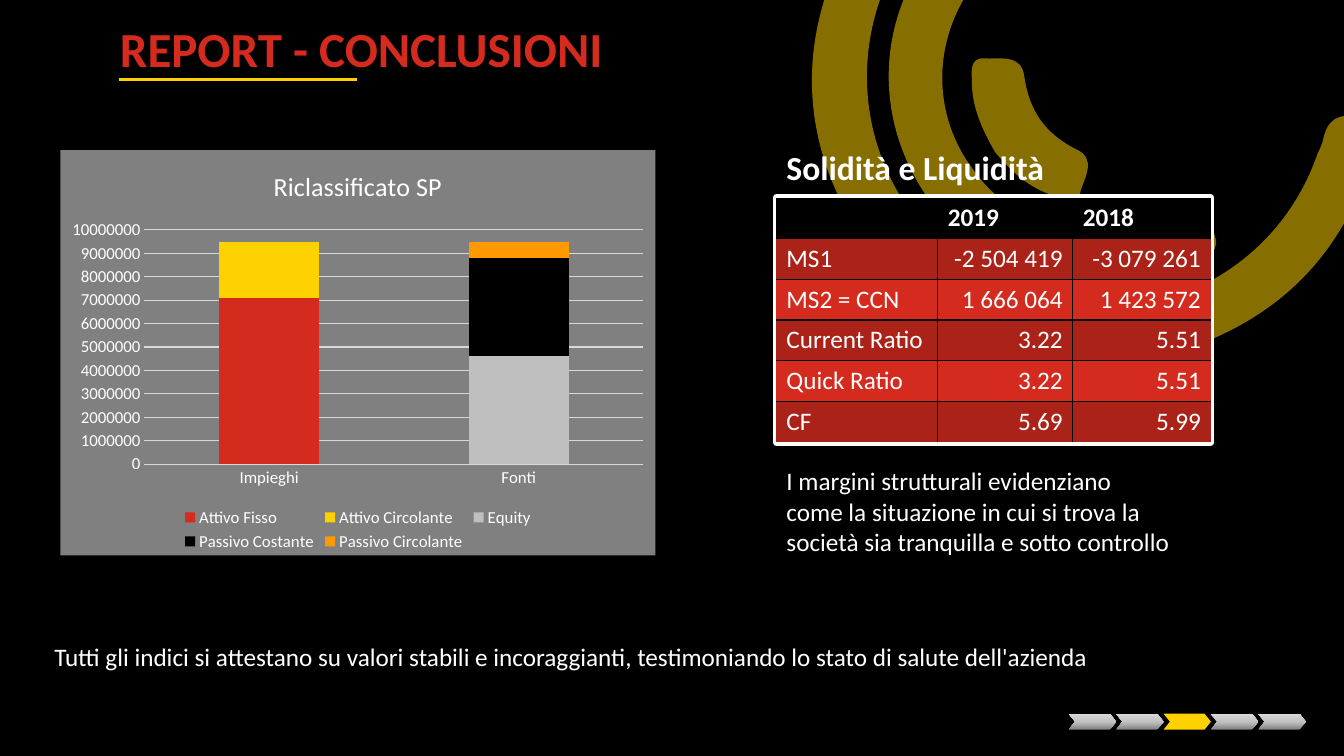
import copy
import pptx
import pptx.util
import pptx.oxml
import pptx.oxml.ns
import pptx.chart.data
import pptx.dml.color
import pptx.enum.chart
import pptx.enum.shapes
import pptx.enum.text
from lxml import etree

Inches, Pt, qn = pptx.util.Inches, pptx.util.Pt, pptx.oxml.ns.qn
SHAPE = pptx.enum.shapes.MSO_SHAPE
ALIGN = pptx.enum.text.PP_ALIGN
ANCHOR = pptx.enum.text.MSO_ANCHOR

# Content
FONT = "Calibri"
COLORS = {"black": "000000", "white": "FFFFFF", "red": "D52B1E", "dark red": "AB2218",
          "yellow": "FED100", "orange": "FF9900", "gray": "808080", "silver": "BFBFBF",
          "grid": "D9D9D9", "steel": "C1C1C1"}
TITLE = "REPORT - CONCLUSIONI"
HEADING = "Solidità e Liquidità"
REMARK = ["I margini strutturali evidenziano",
          "come la situazione in cui si trova la",
          "società sia tranquilla e sotto controllo"]
CONCLUSION = ("Tutti gli indici si attestano su valori stabili e incoraggianti, "
              "testimoniando lo stato di salute dell'azienda")
RATIOS = [("", "2019", "2018"),
          ("MS1", "-2 504 419", "-3 079 261"),
          ("MS2 = CCN", "1 666 064", "1 423 572"),
          ("Current Ratio", "3.22", "5.51"),
          ("Quick Ratio", "3.22", "5.51"),
          ("CF", "5.69", "5.99")]
RATIO_WIDTHS = (1.6, 1.34, 1.37)
CHART_TITLE = "Riclassificato SP"
CATEGORIES = ["Impieghi", "Fonti"]
SERIES = [("Attivo Fisso", (7100000, None), "red"),
          ("Attivo Circolante", (2400000, None), "yellow"),
          ("Equity", (None, 4600000), "silver"),
          ("Passivo Costante", (None, 4200000), "black"),
          ("Passivo Circolante", (None, 700000), "orange")]
STEPS, CURRENT_STEP = 5, 2
# Each arc: start point, then Bezier curves (two controls and an end)
ARCS = [
    ((8.51, 2.29), [
        (7.99, 1.49, 7.87, 0.5, 8.38, -0.5), (8.9, -1.52, 9.76, -2.03, 10.9, -2.07),
        (11.05, -2.07, 11.21, -2.1, 11.31, -1.95), (11.44, -1.75, 11.27, -1.54, 10.98, -1.54),
        (9.67, -1.54, 8.65, -0.59, 8.6, 0.68), (8.56, 1.81, 9.36, 2.81, 10.46, 3.02),
        (11.6, 3.24, 12.7, 2.61, 13.07, 1.52), (13.09, 1.48, 13.11, 1.44, 13.12, 1.4),
        (13.16, 1.19, 13.27, 1.11, 13.49, 1.17), (13.73, 1.24, 13.67, 1.41, 13.61, 1.56),
        (13.34, 2.45, 12.78, 3.07, 11.91, 3.41), (10.7, 3.87, 9.36, 3.45, 8.51, 2.29)]),
    ((9.22, 1.99), [
        (8.62, 1.15, 8.69, 0.07, 9.4, -0.68), (9.51, -0.79, 9.62, -0.95, 9.8, -0.78),
        (9.95, -0.64, 9.97, -0.5, 9.79, -0.32), (9.25, 0.26, 9.2, 1.08, 9.65, 1.68),
        (10.08, 2.29, 10.88, 2.49, 11.61, 2.15), (11.82, 2.05, 11.93, 2.12, 12.03, 2.29),
        (12.13, 2.5, 11.97, 2.56, 11.83, 2.63), (10.96, 3.1, 9.83, 2.82, 9.22, 1.99)]),
    ((9.87, 1.51), [
        (9.75, 1.3, 9.64, 1.07, 9.64, 0.82), (9.64, 0.73, 9.61, 0.57, 9.76, 0.58),
        (9.92, 0.59, 10.13, 0.53, 10.16, 0.76), (10.21, 1.1, 10.36, 1.32, 10.67, 1.48),
        (10.88, 1.57, 10.76, 1.76, 10.72, 1.89), (10.68, 2.06, 10.55, 1.98, 10.45, 1.94),
        (10.21, 1.87, 10.03, 1.7, 9.87, 1.51)]),
]


# Helpers
def rgb(name):
    return pptx.dml.color.RGBColor.from_string(COLORS[name])


def paint(fill, name):
    fill.solid()
    fill.fore_color.rgb = rgb(name)


def style(font, size, color="white", bold=False):
    font.name, font.size, font.bold = FONT, Pt(size), bold
    font.color.rgb = rgb(color)


def place(box, left, top, width, height):
    box.left, box.top, box.width, box.height = map(Inches, (left, top, width, height))


def write(frame, lines, size, color="white", bold=False, align=ALIGN.LEFT, spacing=1.0):
    frame.word_wrap = True
    for number, line in enumerate(lines):
        para = frame.add_paragraph() if number else frame.paragraphs[0]
        para.alignment, para.line_spacing = align, spacing
        para.space_before = Pt(0)
        span = para.add_run()
        span.text = line
        style(span.font, size, color, bold)


def add_arc(shapes, start, curves):
    points = [(curve[i], curve[i + 1]) for curve in curves for i in (0, 2, 4)]
    builder = shapes.build_freeform(*start, scale=Inches(1) / 1000)
    builder = shapes.build_freeform(start[0] * 1000, start[1] * 1000, scale=Inches(1) / 1000)
    builder.add_line_segments([(x * 1000, y * 1000) for x, y in points], close=True)
    arc = builder.convert_to_shape()
    # Every three segments become one Bezier curve
    segments = arc.element.spPr.findall(".//" + qn("a:lnTo"))
    for first in range(0, len(segments), 3):
        bezier = etree.Element(qn("a:cubicBezTo"))
        segments[first].addprevious(bezier)
        for segment in segments[first:first + 3]:
            bezier.append(segment[0])
            segment.getparent().remove(segment)
    arc.shadow.inherit = False
    paint(arc.fill, "yellow")
    arc.line.fill.background()
    etree.SubElement(arc.element.spPr.find(".//" + qn("a:srgbClr")), qn("a:alpha"), val="53000")
    return arc


def add_border(props, side, inner):
    line = etree.SubElement(props, qn("a:ln" + side), w=str(Pt(1)))
    if inner:
        solid = etree.SubElement(line, qn("a:solidFill"))
        etree.SubElement(solid, qn("a:srgbClr"), val=COLORS["black"])
    else:
        etree.SubElement(line, qn("a:noFill"))


deck = pptx.Presentation()
deck.slide_width, deck.slide_height = Inches(13.33), Inches(7.5)
page = deck.slides.add_slide(deck.slide_layouts[4])
slots = {slot.placeholder_format.idx: slot for slot in page.placeholders}
for unused in (2, 4):
    slots[unused].element.getparent().remove(slots[unused].element)

# Black ground and arcs, behind everything
ground = page.shapes.add_shape(SHAPE.RECTANGLE, 0, 0, deck.slide_width, deck.slide_height)
ground.shadow.inherit = False
paint(ground.fill, "black")
ground.line.fill.background()
backdrop = [ground] + [add_arc(page.shapes, *arc) for arc in ARCS]
for depth, part in enumerate(backdrop):
    page.shapes.element.insert(2 + depth, part.element)

# Title and rule
title = slots[0]
place(title, 0.01, 0.01, 8.28, 1.01)
frame = title.text_frame
frame.margin_left = frame.margin_right = Inches(1.18)
frame.margin_top = frame.margin_bottom = 0
frame.vertical_anchor = ANCHOR.MIDDLE
write(frame, [TITLE], 35, "red", True, spacing=0.9)
rule = page.shapes.add_connector(pptx.enum.shapes.MSO_CONNECTOR.STRAIGHT,
                                 Inches(1.18), Inches(0.79), Inches(3.54), Inches(0.79))
rule.line.color.rgb, rule.line.width = rgb("yellow"), Pt(2)
etree.SubElement(rule.element.spPr, qn("a:effectLst"))

# Heading, remark and conclusion
place(slots[1], 7.7, 1.02, 4.31, 0.89)
slots[1].text_frame.vertical_anchor = ANCHOR.BOTTOM
write(slots[1].text_frame, [HEADING], 24, bold=True, spacing=0.9)
place(slots[3], 7.7, 4.57, 4.17, 1.01)
slots[3].text_frame.vertical_anchor = ANCHOR.TOP
write(slots[3].text_frame, REMARK, 18)
conclusion = page.shapes.add_textbox(Inches(0.44), Inches(6.31), Inches(12.29), Inches(0.4))
write(conclusion.text_frame, [CONCLUSION], 18)

# Ratio table on a white frame
table_area = [Inches(n) for n in (7.7, 1.96, 4.31, 2.43)]
backing = page.shapes.add_shape(SHAPE.RECTANGLE, *table_area)
backing.shadow.inherit = False
paint(backing.fill, "white")
backing.line.color.rgb, backing.line.width = rgb("white"), Pt(5)
rows, cols = len(RATIOS), len(RATIO_WIDTHS)
table = page.shapes.add_table(rows, cols, *table_area).table
for column, width in zip(table.columns, RATIO_WIDTHS):
    column.width = Inches(width)
for r, values in enumerate(RATIOS):
    for c, value in enumerate(values):
        cell = table.cell(r, c)
        if value:
            write(cell.text_frame, [value], 18, bold=r == 0,
                  align=ALIGN.RIGHT if r and c else ALIGN.LEFT)
        for side, inner in (("L", c > 0), ("R", c < cols - 1), ("T", r > 0), ("B", r < rows - 1)):
            add_border(cell._tc.get_or_add_tcPr(), side, inner)
        paint(cell.fill, "black" if r == 0 else "dark red" if r % 2 else "red")

# Stacked column chart
data = pptx.chart.data.CategoryChartData()
data.categories = CATEGORIES
for name, values, _ in SERIES:
    data.add_series(name, values)
chart = page.shapes.add_chart(pptx.enum.chart.XL_CHART_TYPE.COLUMN_STACKED, Inches(0.6),
                              Inches(1.49), Inches(5.9), Inches(4.02), data).chart
style(chart.font, 12)
chart.has_title = True
span = chart.chart_title.text_frame.paragraphs[0].add_run()
span.text = CHART_TITLE
style(span.font, 18.6)
chart.chart_title.include_in_layout = False
chart.has_legend = True
chart.legend.position = pptx.enum.chart.XL_LEGEND_POSITION.BOTTOM
chart.legend.include_in_layout = False
style(chart.legend.font, 12)
plot = chart.plots[0]
plot.gap_width, plot.overlap, plot.vary_by_categories = 150, 100, False
for series, (_, _, color) in zip(plot.series, SERIES):
    paint(series.format.fill, color)
for axis in (chart.category_axis, chart.value_axis):
    axis.major_tick_mark = axis.minor_tick_mark = pptx.enum.chart.XL_TICK_MARK.NONE
    style(axis.tick_labels.font, 12)
scale = chart.value_axis
scale.format.line.fill.background()
for line in (scale.major_gridlines.format.line, chart.category_axis.format.line):
    line.color.rgb, line.width = rgb("grid"), Pt(0.75)

# Chart background
area = pptx.oxml.parse_xml(
    f'<c:spPr {pptx.oxml.ns.nsdecls("c", "a")}><a:solidFill><a:srgbClr val="{COLORS["gray"]}"/>'
    '</a:solidFill><a:ln><a:noFill/></a:ln></c:spPr>')
chart._chartSpace.find(qn("c:chart")).addnext(area)

# Progress chevrons
for step in range(STEPS):
    chevron = page.shapes.add_shape(SHAPE.CHEVRON, Inches(10.6 + 0.47 * step), Inches(7.08),
                                    Inches(0.47), Inches(0.16))
    chevron.adjustments[0] = 0.4
    chevron.shadow.inherit = False
    chevron.line.fill.background()
    if step == CURRENT_STEP:
        paint(chevron.fill, "yellow")
        continue
    chevron.fill.gradient()
    chevron.fill.gradient_angle = 90
    stops = chevron.element.spPr.find(".//" + qn("a:gsLst"))
    stops.insert(1, copy.deepcopy(stops[0]))
    for stop, position, color in zip(chevron.fill.gradient_stops, (0, 0.48, 1),
                                     ("gray", "steel", "grid")):
        stop.position, stop.color.rgb = position, rgb(color)

deck.save("out.pptx")
